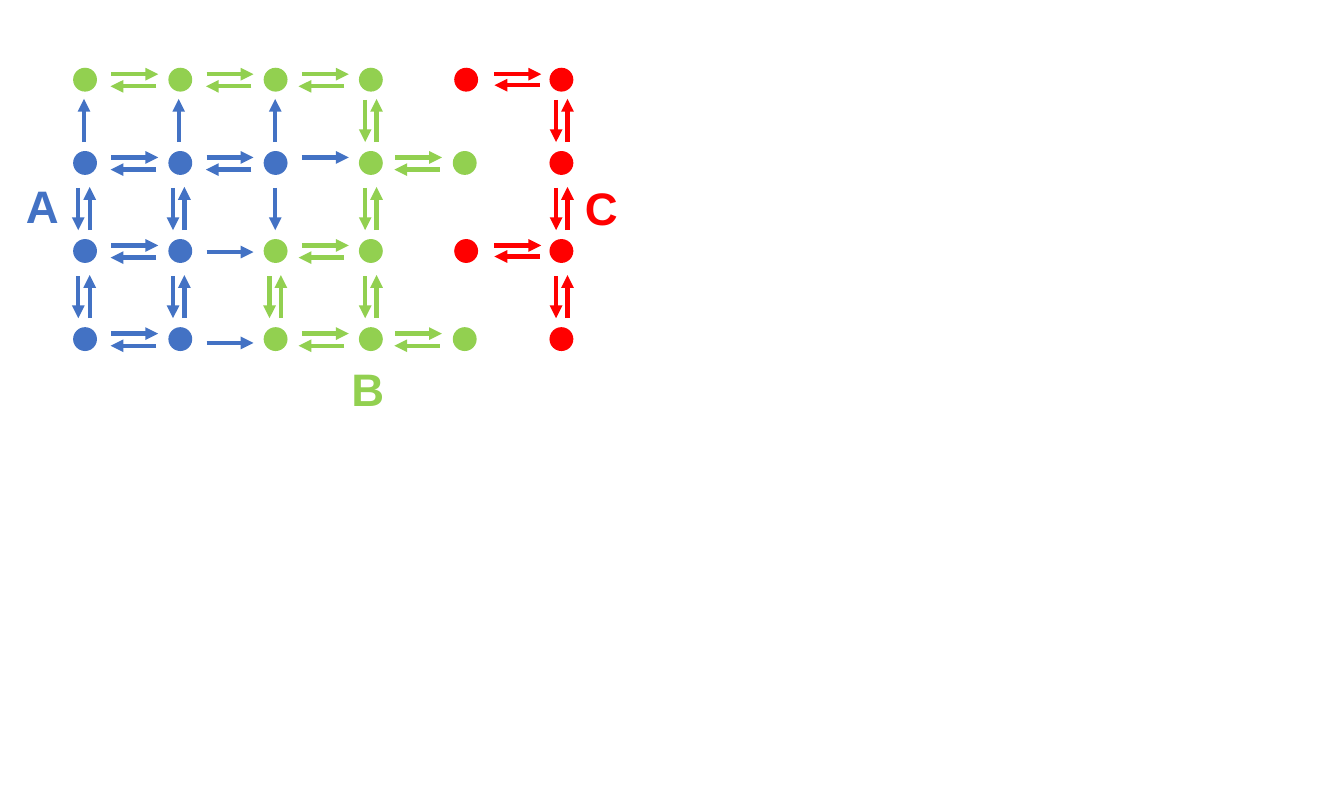
from lxml import etree
from pptx import Presentation
from pptx.dml.color import RGBColor
from pptx.enum import shapes, text
from pptx.oxml import ns
from pptx.util import Pt

COLORS = {"A": "4372C4", "B": "92D050", "C": "FF0000"}
GRID = ["BBBBCC",
        "AAABBC",
        "AABBCC",
        "AABBBC"]
ROW_Y = [84, 171.8, 264.6, 357.5]
COLUMN_X = [89.7 + 100.5 * column for column in range(6)]
DIAMETER = 25.2

# Small shifts of the arrows, by column or row
FORWARD_SHIFT = [0, 0, 0, -2.2, 2]
BACK_SHIFT = [0, 0, -2.7, -2.2, 2.9]
VERTICAL_SHIFT = [-1.1, -1.7, -0.4, 0, 0, 0.4]
SINGLE_Y = {1: -5.8, 2: 1.1, 3: 4}

# Letter: left, top, width
LABELS = {"A": (20.2, 183.6, 95.8), "B": (363.6, 376.6, 95.8), "C": (609.8, 185.8, 45.4)}

prs = Presentation()
prs.slide_width, prs.slide_height = Pt(1417.7), Pt(851.8)
slide = prs.slides.add_slide(prs.slide_layouts[6])


def color(group):
    return RGBColor.from_string(COLORS[group])


def add_arrow(group, x1, y1, x2, y2):
    arrow = slide.shapes.add_connector(
        shapes.MSO_CONNECTOR.STRAIGHT, Pt(x1), Pt(y1), Pt(x2), Pt(y2))
    arrow.line.color.rgb = color(group)
    arrow.line.width = Pt(4.5)
    etree.SubElement(arrow.line._get_or_add_ln(), ns.qn("a:tailEnd"), type="triangle")
    etree.SubElement(arrow._element.spPr, ns.qn("a:effectLst"))


for row, groups in enumerate(GRID):
    for column, group in enumerate(groups):
        x, y = COLUMN_X[column], ROW_Y[row]

        # Green nodes in the fifth column sit slightly to the left
        node_x = x - 1.5 if (group, column) == ("B", 4) else x
        node = slide.shapes.add_shape(
            shapes.MSO_SHAPE.OVAL, Pt(node_x - DIAMETER / 2), Pt(y - DIAMETER / 2),
            Pt(DIAMETER), Pt(DIAMETER))
        node.shadow.inherit = False
        node.fill.solid()
        node.fill.fore_color.rgb = color(group)
        node.line.fill.background()

        # Equal neighbours exchange both ways; A only feeds B; C is separate
        if column < 5:
            right = groups[column + 1]
            start = x + 27.7 + FORWARD_SHIFT[column]
            back = x + 27 + BACK_SHIFT[column]
            if group == right:
                add_arrow(group, start, y - 5.8, start + 49.5, y - 5.8)
                back_y = y + (5.8 if group == "C" else 7)
                add_arrow(group, back + 48, back_y, back, back_y)
            elif group + right == "AB":
                single_y = y + SINGLE_Y[row]
                add_arrow(group, start, single_y, start + 49.5, single_y)

        if row < 3:
            below = GRID[row + 1][column]
            bottom = ROW_Y[row + 1] - 22
            lane = x + VERTICAL_SHIFT[column]
            gap = 6 if group == below else 0
            if group == below or group + below == "AB":
                add_arrow(group, lane - gap, bottom - 44.5, lane - gap, bottom)
            if group == below or group + below == "BA":
                add_arrow(below, lane + gap, bottom, lane + gap, bottom - 45.5)

for group, (left, top, width) in LABELS.items():
    label = slide.shapes.add_textbox(Pt(left), Pt(top), Pt(width), Pt(65.5)).text_frame
    label.word_wrap = True
    label.auto_size = text.MSO_AUTO_SIZE.SHAPE_TO_FIT_TEXT
    letter = label.paragraphs[0]
    letter.text = group
    letter.font.name = "Arial"
    letter.font.size = Pt(48)
    letter.font.bold = True
    letter.font.color.rgb = color(group)

prs.save("out.pptx")
